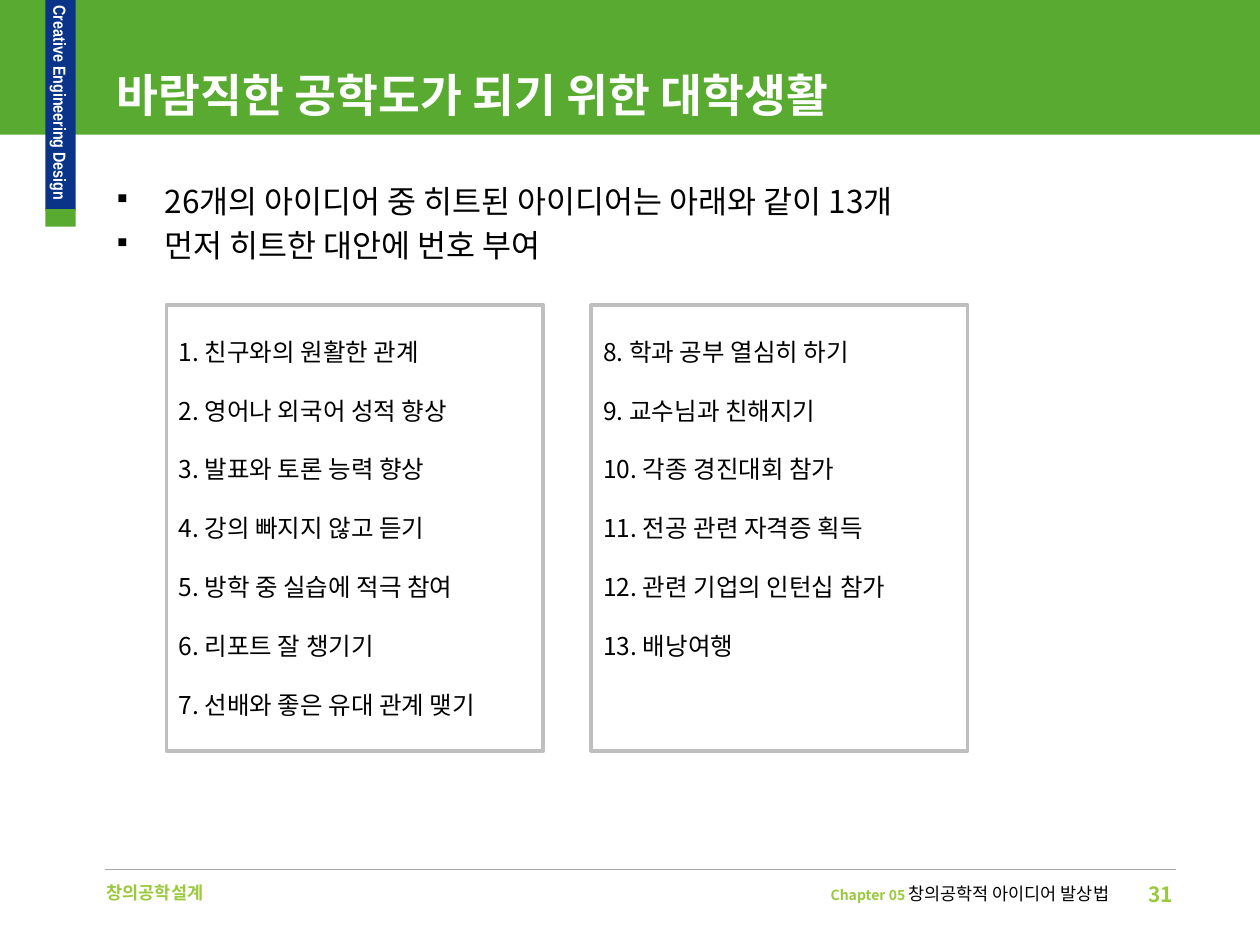
from lxml import etree
from pptx import Presentation
from pptx.dml.color import RGBColor
from pptx.enum.shapes import MSO_CONNECTOR, MSO_SHAPE
from pptx.enum.text import MSO_ANCHOR, PP_ALIGN
from pptx.oxml.ns import qn
from pptx.util import Inches, Pt

RECT, STRAIGHT = MSO_SHAPE.RECTANGLE, MSO_CONNECTOR.STRAIGHT
TOP, MIDDLE = MSO_ANCHOR.TOP, MSO_ANCHOR.MIDDLE
LEFT, RIGHT = PP_ALIGN.LEFT, PP_ALIGN.RIGHT
SANS, NARROW = "Noto Sans CJK KR", "Arial Narrow"
COLORS = {"green": "59AA30", "navy": "0A3488", "lime": "9ACA3C", "frame": "BFBFBF",
          "rule": "A6A6A6", "white": "FFFFFF", "black": "000000"}

prs = Presentation()
prs.slide_width, prs.slide_height = Inches(10), Inches(7.5)
COL, ROW = prs.slide_width / 100, prs.slide_height / 75
s = prs.slides.add_slide(prs.slide_layouts[6])


def add_box(cells, fill=None, line=None):
    x, y, w, h = cells
    sp = s.shapes.add_shape(RECT, int(x * COL), int(y * ROW), int(w * COL), int(h * ROW))
    sp.shadow.inherit = False
    if fill:
        sp.fill.solid()
        sp.fill.fore_color.rgb = RGBColor.from_string(COLORS[fill])
    else:
        sp.fill.background()
    if line:
        sp.line.color.rgb = RGBColor.from_string(COLORS[line])
        sp.line.width = Pt(2)
    else:
        sp.line.fill.background()
    return sp


def write(sp, lines, align=LEFT, anchor=TOP, face=SANS, frame=None, para=None, bullet=None):
    tf = sp.text_frame
    for name, value in {"word_wrap": True, "vertical_anchor": anchor, **(frame or {})}.items():
        setattr(tf, name, value)
    for i, runs in enumerate(lines):
        p = tf.paragraphs[0] if i == 0 else tf.add_paragraph()
        p.alignment = align
        for name, value in (para or {}).items():
            if i or name != "space_before":
                setattr(p, name, value)
        if bullet:
            pPr = p._p.get_or_add_pPr()
            pPr.set("marL", str(Inches(0.38)))
            pPr.set("indent", str(-Inches(0.38)))
            etree.SubElement(pPr, qn("a:buFont")).set("typeface", NARROW)
            etree.SubElement(pPr, qn("a:buChar")).set("char", bullet)
        for text, size, color, bold in runs:
            r = p.add_run()
            r.text = text
            for name, value in {"size": Pt(size), "bold": bold, "name": face}.items():
                setattr(r.font, name, value)
            r.font.color.rgb = RGBColor.from_string(COLORS[color])
            etree.SubElement(r._r.get_or_add_rPr(), qn("a:ea")).set("typeface", face)


add_box((0, 0, 100, 10.7), "green")
tab = add_box((3.6, 0, 2.4, 16.7), "navy")
write(tab, [[("Creative Engineering Design", 10, "white", True)]], RIGHT, MIDDLE, NARROW,
      {"margin_left": 0, "margin_top": 0, "margin_right": 0, "margin_bottom": Inches(0.08)})
tab.text_frame._txBody.bodyPr.set("vert", "vert")
add_box((3.6, 16.6, 2.4, 1.4), "green")

rule = s.shapes.add_connector(STRAIGHT, int(8.3 * COL), int(69 * ROW),
                              int(93.3 * COL), int(69 * ROW))
rule.line.color.rgb = RGBColor.from_string(COLORS["rule"])
rule.line.width = Pt(0.75)
etree.SubElement(rule._element.spPr, qn("a:effectLst"))

labels = [
    ((44.1, 69.5, 50, 3), RIGHT, TOP, [("31", 12, "lime", True)]),
    ((7.5, 69.5, 50, 2.7), LEFT, TOP, [("창의공학설계", 10, "lime", True)]),
    ((61, 69.6, 28, 2.7), RIGHT, TOP, [("Chapter 05 ", 8, "lime", True),
                                       ("창의공학적 아이디어 발상법", 10, "black", False)]),
    ((8.3, 4.4, 85, 6.1), LEFT, MIDDLE,
     [("바람직한 공학도가 되기 위한 대학생활", 26, "white", True)]),
]
for (x, y, w, h), align, anchor, runs in labels:
    sp = s.shapes.add_textbox(int(x * COL), int(y * ROW), int(w * COL), int(h * ROW))
    write(sp, [runs], align, anchor)

points = ["26개의 아이디어 중 히트된 아이디어는 아래와 같이 13개", "먼저 히트한 대안에 번호 부여"]
body = s.shapes.add_textbox(int(8.3 * COL), int(13.9 * ROW), int(85 * COL), int(39.4 * ROW))
write(body, [[(text, 18, "black", False)] for text in points], bullet="▪",
      para={"line_spacing": Pt(21.7), "space_before": Pt(3.6)})

ideas = ["친구와의 원활한 관계", "영어나 외국어 성적 향상", "발표와 토론 능력 향상",
         "강의 빠지지 않고 듣기", "방학 중 실습에 적극 참여", "리포트 잘 챙기기",
         "선배와 좋은 유대 관계 맺기", "학과 공부 열심히 하기", "교수님과 친해지기",
         "각종 경진대회 참가", "전공 관련 자격증 획득", "관련 기업의 인턴십 참가", "배낭여행"]
numbered = [[(f"{n}. {idea}", 14, "black", False)] for n, idea in enumerate(ideas, 1)]
for i, lines in enumerate((numbered[:7], numbered[7:])):
    card = add_box((13.2 + 33.7 * i, 24.2, 29.9, 35.4), line="frame")
    write(card, lines, frame={"margin_top": Inches(0.25)},
          para={"line_spacing": Pt(16.9), "space_before": Pt(16.8)})

prs.save("out.pptx")
